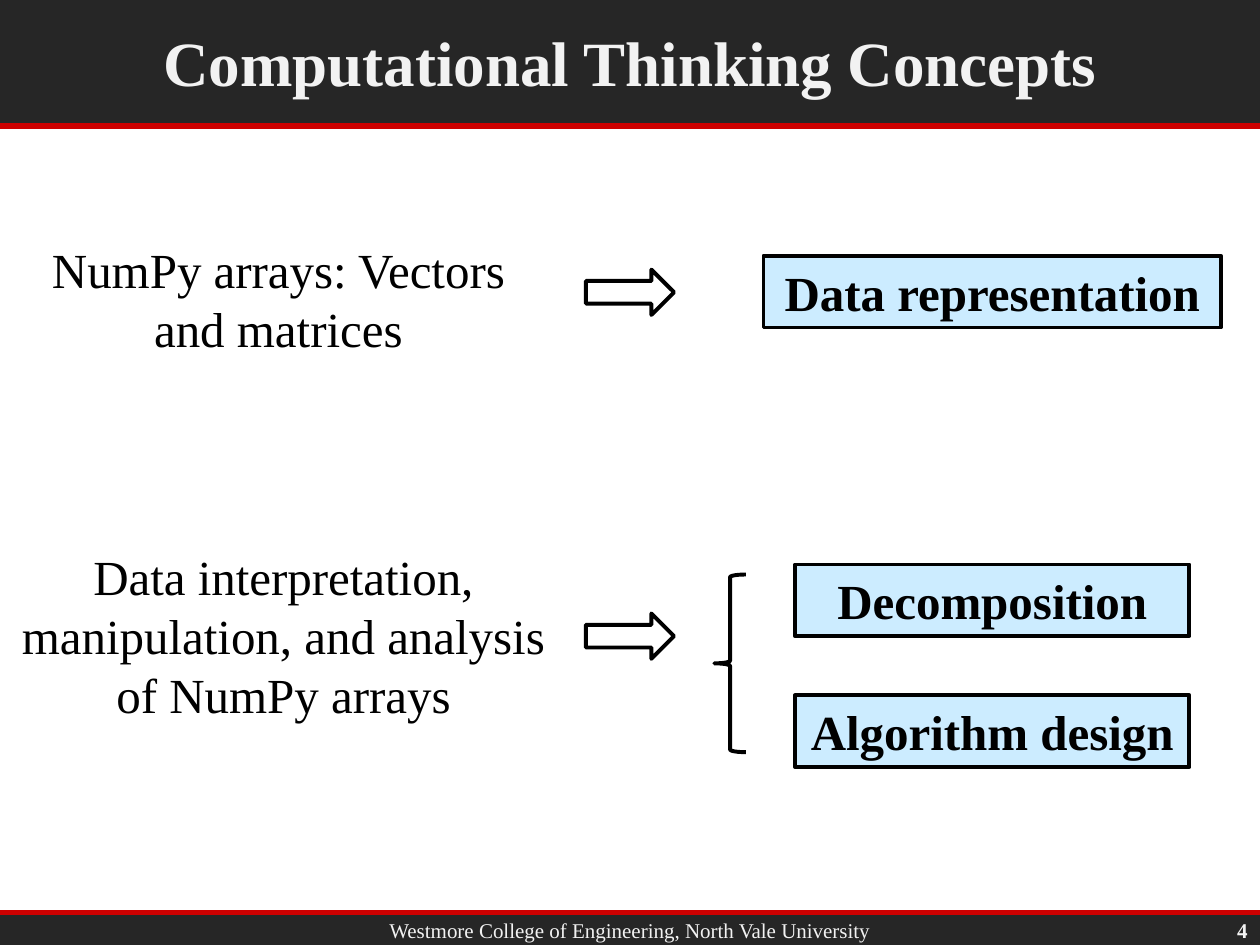
from lxml.etree import SubElement
from pptx import Presentation
from pptx.dml.color import RGBColor
from pptx.enum.shapes import MSO_CONNECTOR, MSO_SHAPE
from pptx.enum.text import MSO_ANCHOR, PP_ALIGN
from pptx.oxml.ns import qn
from pptx.util import Pt

TITLE = "Computational Thinking Concepts"
FOOTER = "Westmore College of Engineering, North Vale University"
PAGE_NUMBER = "4"
TOPICS = [
    ("NumPy arrays: Vectors and matrices", (21.6, 133.2, 275, 74.9)),
    ("Data interpretation, manipulation, and analysis of NumPy arrays",
     (0, 308.9, 324, 108.7)),
]
ARROW_TOPS = [154.1, 350.6]
CONCEPTS = [
    ("Data representation", 146.2, 261.4),
    ("Decomposition", 322.6, 225.4),
    ("Algorithm design", 397.4, 225.4),
]
COLORS = {"band": "262626", "rule": "CC0000", "light": "F2F2F2",
          "ink": "000000", "concept": "CCECFF"}
FONT = "Times New Roman"
WIDTH, HEIGHT = 720, 540
HEADER_BOTTOM, FOOTER_TOP = 72, 521.3
CONCEPT_CENTER, CONCEPT_HEIGHT = 567, 41
OUTLINE = 2.25


def color(name):
    return RGBColor.from_string(COLORS[name])


def points(*lengths):
    return [Pt(length) for length in lengths]


def write(holder, text, size=28, ink="ink", bold=False,
          align=PP_ALIGN.CENTER, anchor=MSO_ANCHOR.TOP, wrap=True):
    frame = holder.text_frame
    frame.word_wrap = wrap
    frame.vertical_anchor = anchor
    paragraph = frame.paragraphs[0]
    paragraph.alignment = align
    run = paragraph.add_run()
    run.text = text
    run.font.name = FONT
    run.font.size = Pt(size)
    run.font.bold = bold
    run.font.color.rgb = color(ink)


def add_figure(slide, preset, bounds, fill=None, outlined=True):
    figure = slide.shapes.add_shape(preset, *points(*bounds))
    figure.shadow.inherit = False
    if fill:
        figure.fill.solid()
        figure.fill.fore_color.rgb = color(fill)
    else:
        figure.fill.background()
    if outlined:
        figure.line.color.rgb = color("ink")
        figure.line.width = Pt(OUTLINE)
    else:
        figure.line.fill.background()
    return figure


def add_band(slide, top, height, rule_top):
    add_figure(slide, MSO_SHAPE.RECTANGLE, (0, top, WIDTH, height),
               "band", outlined=False)
    rule = slide.shapes.add_connector(
        MSO_CONNECTOR.STRAIGHT, *points(0, rule_top, WIDTH, rule_top))
    rule.line.color.rgb = color("rule")
    rule.line.width = Pt(3)
    SubElement(rule.element.spPr, qn("a:effectLst"))


def add_text(slide, text, bounds, **text_format):
    write(slide.shapes.add_textbox(*points(*bounds)), text, **text_format)


def main():
    presentation = Presentation()
    presentation.slide_width, presentation.slide_height = points(WIDTH, HEIGHT)
    slide = presentation.slides.add_slide(presentation.slide_layouts[5])

    add_band(slide, FOOTER_TOP, HEIGHT - FOOTER_TOP, FOOTER_TOP)
    add_band(slide, 0, HEADER_BOTTOM, HEADER_BOTTOM)
    add_text(slide, FOOTER, (72.7, 520.6, 574.6, 21.6), size=12, ink="light",
             anchor=MSO_ANCHOR.MIDDLE)
    add_text(slide, PAGE_NUMBER, (668.2, 522, 51.8, 18.7), size=12,
             ink="light", bold=True, align=PP_ALIGN.RIGHT,
             anchor=MSO_ANCHOR.MIDDLE)

    title = slide.shapes.title
    title.left, title.top, title.width, title.height = points(
        72.7, 2.9, 574.6, 64.1)
    write(title, TITLE, size=36, ink="light", bold=True,
          anchor=MSO_ANCHOR.MIDDLE)
    title.element.getparent().append(title.element)

    for topic, bounds in TOPICS:
        add_text(slide, topic, bounds)
    for top in ARROW_TOPS:
        add_figure(slide, MSO_SHAPE.RIGHT_ARROW, (334.8, top, 50.4, 25.9))
    for concept, top, width in CONCEPTS:
        bounds = (CONCEPT_CENTER - width / 2, top, width, CONCEPT_HEIGHT)
        concept_box = add_figure(slide, MSO_SHAPE.RECTANGLE, bounds, "concept")
        write(concept_box, concept, bold=True, wrap=False)
    add_figure(slide, MSO_SHAPE.LEFT_BRACE, (408.2, 328.3, 18, 101.5))

    presentation.save("out.pptx")


if __name__ == "__main__":
    main()
